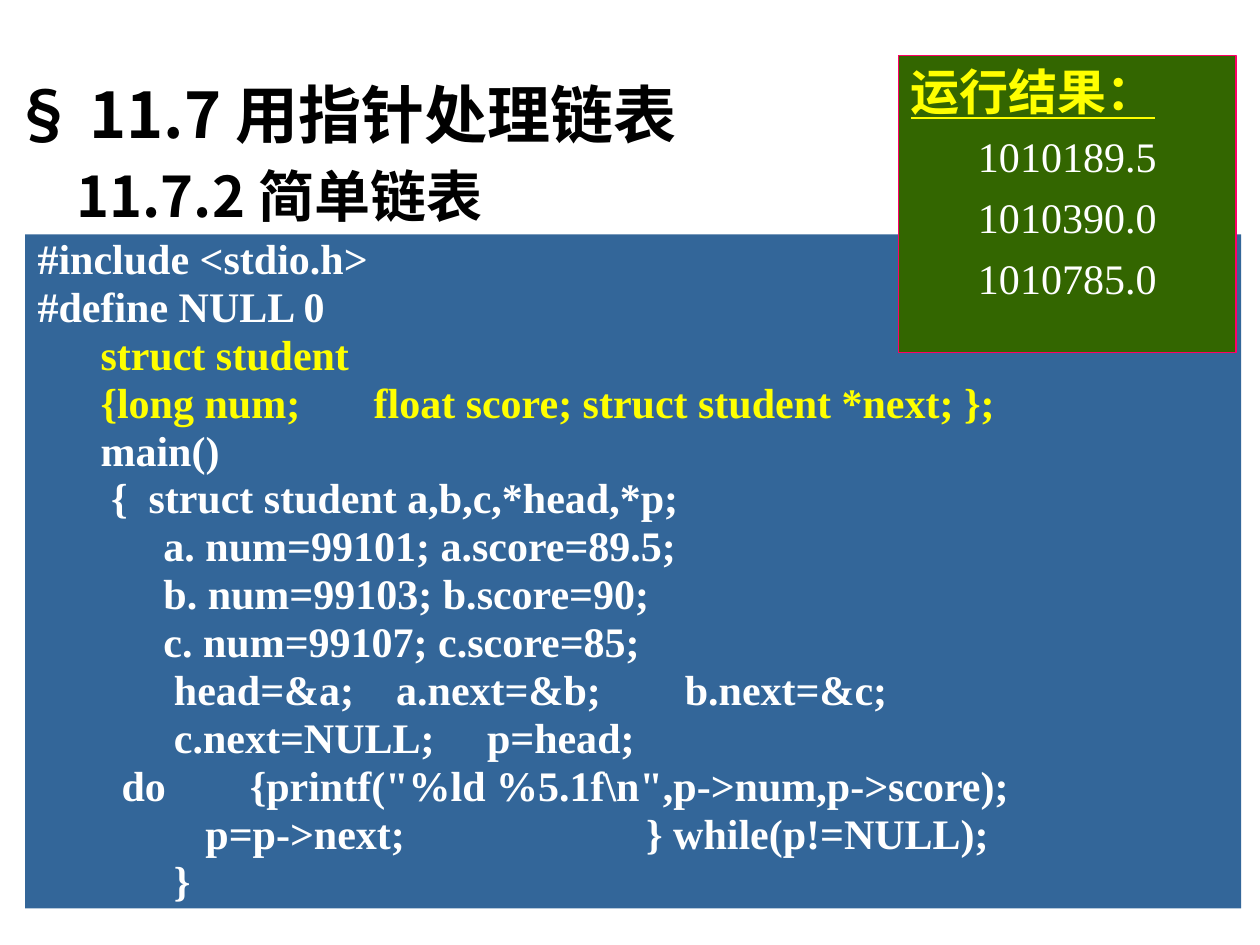
from dataclasses import dataclass

from lxml.etree import SubElement
from pptx import Presentation
from pptx.dml.color import RGBColor
from pptx.enum.shapes import MSO_SHAPE
from pptx.enum.text import MSO_ANCHOR, PP_ALIGN
from pptx.oxml.ns import qn
from pptx.util import Inches, Pt


@dataclass(frozen=True)
class Theme:
    """Hold the colours, fonts and type sizes."""
    ink: str = "000000"
    white: str = "FFFFFF"
    gold: str = "FFFF00"
    blue: str = "336699"
    green: str = "336600"
    pink: str = "FF0066"
    sans: str = "Noto Sans CJK SC"
    serif: str = "Times New Roman"
    title: int = 36
    head: int = 32
    label: int = 28
    body: int = 24


THEME = Theme()
CODE = r'''#include <stdio.h>
#define NULL 0
      struct student
      {long num;       float score; struct student *next; };
      main()
       {  struct student a,b,c,*head,*p;
            a. num=99101; a.score=89.5;
            b. num=99103; b.score=90;
            c. num=99107; c.score=85;
             head=&a;    a.next=&b;        b.next=&c;
             c.next=NULL;     p=head;
        do        {printf("%ld %5.1f\n",p->num,p->score);
                p=p->next;                       } while(p!=NULL);
             }'''
GOLD_ROWS = (2, 3)
RESULTS = ("1010189.5", "1010390.0", "1010785.0")


def style(para, face, size, color, bold=True, line=False):
    """Format every run of a paragraph."""
    for run in para.runs:
        font = run.font
        font.name, font.size = face, Pt(size)
        font.bold, font.underline = bold, line
        font.color.rgb = RGBColor.from_string(color)
        SubElement(font._element, qn("a:ea"), typeface=face)


def add_head(slide, text, box, size, anchor):
    """Add a heading in its own text box."""
    frame = slide.shapes.add_textbox(*map(Inches, box)).text_frame
    frame.word_wrap = True
    frame.vertical_anchor = anchor
    frame.text = text
    style(frame.paragraphs[0], THEME.sans, size, THEME.ink)


def add_panel(slide, box, fill, anchor, edge=None):
    """Add a filled panel and return its text frame."""
    panel = slide.shapes.add_shape(MSO_SHAPE.RECTANGLE, *map(Inches, box))
    panel.shadow.inherit = False
    panel.fill.solid()
    panel.fill.fore_color.rgb = RGBColor.from_string(fill)
    if edge:
        panel.line.color.rgb = RGBColor.from_string(edge)
        panel.line.width = Pt(0.75)
    else:
        panel.line.fill.background()
    frame = panel.text_frame
    frame.word_wrap = True
    frame.vertical_anchor = anchor
    return frame


def add_code(slide):
    """Add the program listing with its struct lines in gold."""
    frame = add_panel(slide, (0.2, 1.86, 9.65, 5.35), THEME.blue, MSO_ANCHOR.MIDDLE)
    frame.text = CODE
    for row, para in enumerate(frame.paragraphs):
        para.alignment = PP_ALIGN.LEFT
        para.line_spacing = 0.95
        color = THEME.gold if row in GOLD_ROWS else THEME.white
        style(para, THEME.serif, THEME.body, color)


def add_result(slide):
    """Add the program output panel."""
    frame = add_panel(slide, (7.13, 0.44, 2.68, 2.36), THEME.green,
                      MSO_ANCHOR.TOP, THEME.pink)
    frame.text = "\n".join(("运行结果：",) + RESULTS)
    label, *rows = frame.paragraphs
    label.alignment = PP_ALIGN.LEFT
    style(label, THEME.sans, THEME.label, THEME.gold, line=True)
    for para in rows:
        para.alignment = PP_ALIGN.CENTER
        para.space_before = Pt(6)
        style(para, THEME.serif, THEME.body, THEME.white, bold=False)


def main():
    """Build and save the slide."""
    deck = Presentation()
    deck.slide_width, deck.slide_height = Inches(10), Inches(7.5)
    slide = deck.slides.add_slide(deck.slide_layouts[6])
    add_head(slide, "§ 11.7 用指针处理链表", (0, 0.49, 10, 0.81),
             THEME.title, MSO_ANCHOR.MIDDLE)
    add_head(slide, "11.7.2 简单链表", (0.51, 1.23, 8.9, 5.04),
             THEME.head, MSO_ANCHOR.TOP)
    add_code(slide)
    add_result(slide)
    deck.save("out.pptx")


if __name__ == "__main__":
    main()
